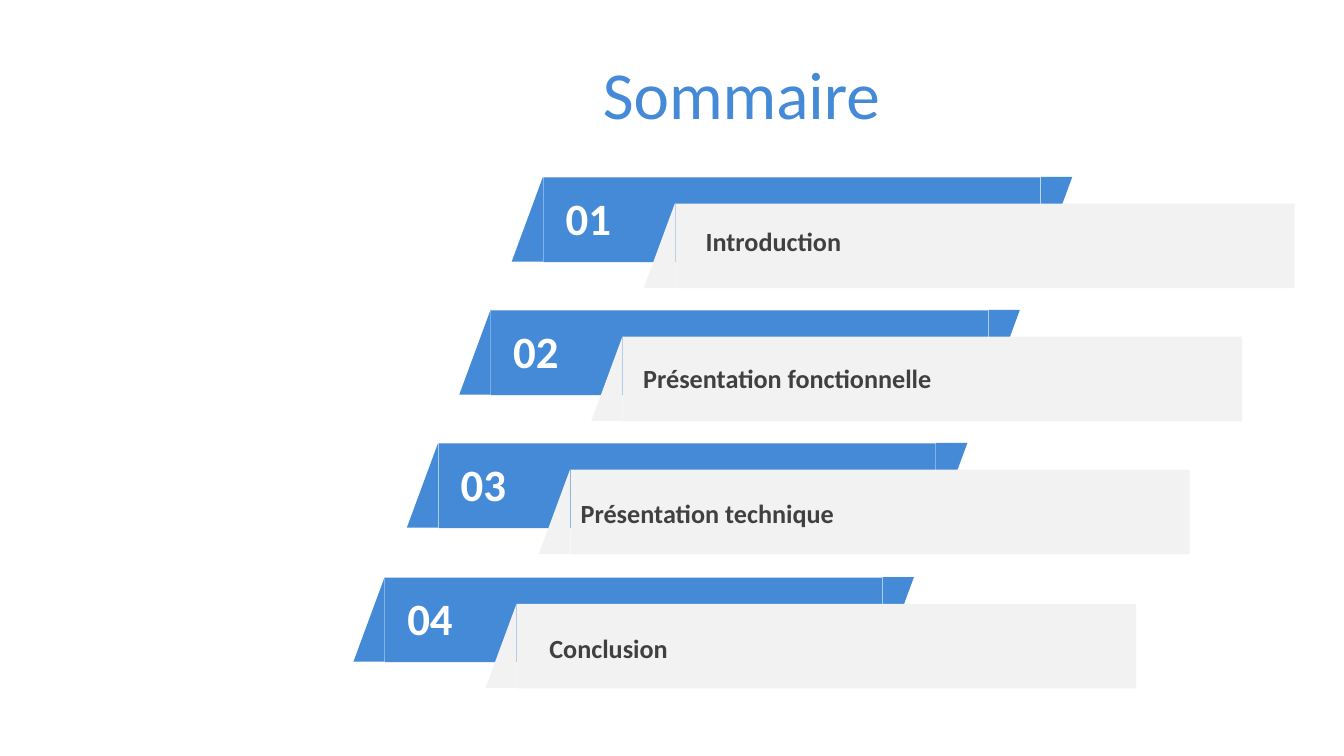
from pptx import Presentation, util as u
from pptx.dml.color import RGBColor
from pptx.enum import shapes, text

PX = 9144  # EMU per px, 100 px to the inch
BLUE, GREY, DARK, WHITE = "448AD7", "F2F2F2", "404040", "FFFFFF"
RECT = shapes.MSO_SHAPE.RECTANGLE
TRIANGLE = shapes.MSO_SHAPE.ISOSCELES_TRIANGLE


def add_piece(group, kind, left, top, width, height, colour, rotation=0):
    piece = group.shapes.add_shape(kind, left * PX, top * PX, width * PX, height * PX)
    piece.shadow.inherit = False
    piece.fill.solid()
    piece.fill.fore_color.rgb = RGBColor.from_string(colour)
    piece.line.fill.background()
    piece.rotation = rotation
    if kind == TRIANGLE:
        piece.adjustments[0] = 0


def add_text(words, left, top, width, height, size, colour, bold=True):
    box = slide.shapes.add_textbox(left * PX, top * PX, width * PX, height * PX)
    frame = box.text_frame
    frame.word_wrap = True
    frame.auto_size = text.MSO_AUTO_SIZE.SHAPE_TO_FIT_TEXT
    frame.text = words
    paragraph = frame.paragraphs[0]
    paragraph.font.name = "Calibri"
    paragraph.font.size = u.Pt(size)
    paragraph.font.bold = bold
    paragraph.font.color.rgb = RGBColor.from_string(colour)
    return frame


deck = Presentation()
deck.slide_width, deck.slide_height = 1333 * PX, 750 * PX
slide = deck.slides.add_slide(deck.slide_layouts[6])

# Title
title = add_text("Sommaire", 588, 50, 745, 84, 48, BLUE, bold=False)
title.auto_size = text.MSO_AUTO_SIZE.NONE
title.vertical_anchor = text.MSO_ANCHOR.MIDDLE

# Agenda rows, each stepping down and to the left
chapters = [
    ("Introduction", 690, 219),
    ("Présentation fonctionnelle", 628, 354),
    ("Présentation technique", 566, 488),
    ("Conclusion", 535, 622),
]
for row, (chapter, chapter_left, chapter_top) in enumerate(chapters):
    left = 539 - 157 * row // 3
    top = 176 + 397 * row // 3

    # Blue band with slanted ends, grey band in front
    bands = slide.shapes.add_group_shape()
    add_piece(bands, RECT, left, top, 493, 84, BLUE)
    add_piece(bands, TRIANGLE, left - 58, top + 26, 84, 31, BLUE, 270)
    add_piece(bands, TRIANGLE, left + 467, top + 26, 84, 31, BLUE, 90)
    add_piece(bands, RECT, left + 131, top + 26, 614, 84, GREY)
    add_piece(bands, TRIANGLE, left + 73, top + 52, 84, 31, GREY, 270)

    # Number and chapter name
    number = add_text(f"{row + 1:02}", left, top + 8, 89, 64, 32, WHITE)
    number.paragraphs[0].alignment = text.PP_ALIGN.CENTER
    add_text(chapter, chapter_left, chapter_top, 542, 42, 18.7, DARK)

deck.save("out.pptx")
